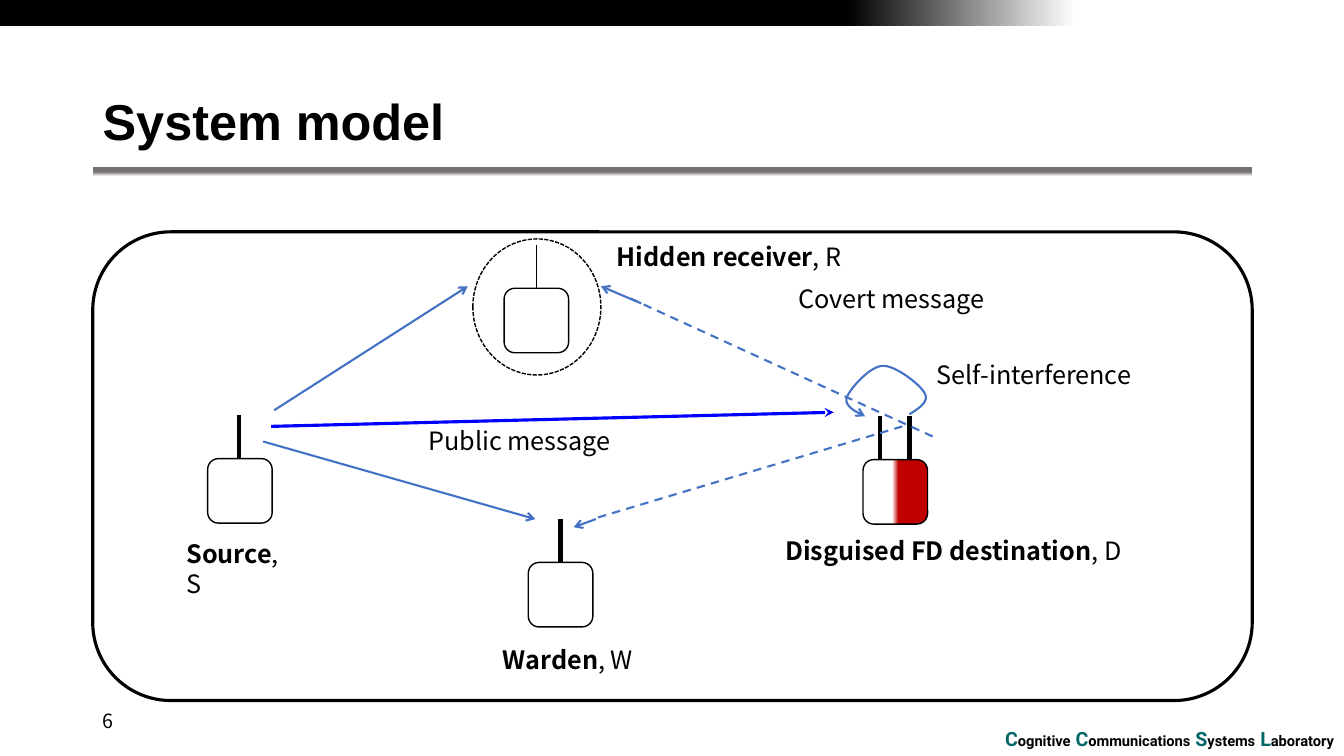
from lxml import etree
from pptx import Presentation
from pptx import util as u
from pptx.dml.color import RGBColor
from pptx.enum import dml, shapes, text
from pptx.oxml.ns import qn

COLORS = {
    "black": "000000", "white": "FFFFFF", "teal": "006666", "gray": "767171",
    "red": "C00000", "link": "4472C4", "public": "0000FF",
}
BODY_FONT = "Noto Sans CJK KR"
DEVICE_SIDE = 0.64
ANTENNA_LENGTH = 0.43
CURVE_STEPS = 16

# name order: left, top, antenna offsets, antenna weight
DEVICES = [
    (7.64, 2.26, (0.17, 0.46), 3),
    (1.14, 2.25, (0.31,), 3),
    (4.32, 3.28, (0.32,), 3),
    (4.08, 0.56, (0.32,), 1),
]
LINKS = [
    ((1.8, 1.77), (3.72, 0.54), "link", 1.5, "arrow", False),
    ((1.77, 1.93), (7.35, 1.79), "public", 2.25, "stealth", False),
    ((1.69, 2.08), (4.39, 2.85), "link", 1.5, "arrow", False),
    ((8.03, 1.93), (4.99, 2.84), "link", 1.5, None, True),
    ((4.99, 2.85), (4.77, 2.93), "link", 1.5, "arrow", False),
    ((8.33, 2.03), (5.33, 0.66), "link", 1.5, None, True),
    ((5.44, 0.71), (5.04, 0.54), "link", 1.5, "arrow", False),
]
LOOP_START = (8.1, 1.81)
LOOP_CURVES = [
    ((8.2, 1.75), (8.3, 1.68), (8.25, 1.6)),
    ((8.21, 1.52), (7.96, 1.32), (7.83, 1.33)),
    ((7.7, 1.34), (7.51, 1.56), (7.48, 1.64)),
    ((7.45, 1.72), (7.55, 1.78), (7.66, 1.83)),
]
LABELS = [
    (0.83, 2.99, 1.31, "Source", ", S"),
    (3.97, 4.04, 1.54, "Warden", ", W"),
    (5.1, 0.04, 2.63, "Hidden receiver", ", R"),
    (6.9, 0.46, 2.19, "", "Covert message"),
    (8.27, 1.22, 2.37, "", "Self-interference"),
    (6.77, 2.96, 3.71, "Disguised FD destination", ", D"),
    (3.23, 1.87, 2.13, "", "Public message"),
]


def rgb(name):
    return RGBColor.from_string(COLORS[name])


def add_block(slide, kind, box, fill=None, line=None, weight=1):
    block = slide.shapes.add_shape(kind, *map(u.Inches, box))
    block.shadow.inherit = False
    if fill:
        block.fill.solid()
        block.fill.fore_color.rgb = rgb(fill)
    else:
        block.fill.background()
    if line:
        block.line.color.rgb = rgb(line)
        block.line.width = u.Pt(weight)
    else:
        block.line.fill.background()
    return block


def set_gradient(block, angle, stops):
    block.fill.gradient()
    block.fill.gradient_angle = angle
    for stop, (position, color) in zip(block.fill.gradient_stops, stops):
        stop.position = position
        stop.color.rgb = rgb(color)


def add_head(stroke, head):
    ln = stroke.element.spPr.find(qn("a:ln"))
    etree.SubElement(ln, qn("a:tailEnd"), type=head)


def add_line(slide, start, end, color, weight, head=None, dashed=False):
    ends = map(u.Inches, (*start, *end))
    line = slide.shapes.add_connector(shapes.MSO_CONNECTOR.STRAIGHT, *ends)
    line.line.color.rgb = rgb(color)
    line.line.width = u.Pt(weight)
    if dashed:
        line.line.dash_style = dml.MSO_LINE.DASH
    if head:
        add_head(line, head)
    etree.SubElement(line.element.spPr, qn("a:effectLst"))


def add_run(paragraph, words, size, font=BODY_FONT, color="black", bold=False):
    run = paragraph.add_run()
    run.text = words
    run.font.size = u.Pt(size)
    run.font.name = font
    run.font.bold = bold
    run.font.color.rgb = rgb(color)


def add_text(slide, box, anchor=text.MSO_ANCHOR.TOP):
    frame = slide.shapes.add_textbox(*map(u.Inches, box)).text_frame
    frame.word_wrap = True
    frame.vertical_anchor = anchor
    return frame.paragraphs[0]


def top_band(slide, box):
    band = add_block(slide, shapes.MSO_SHAPE.RECTANGLE, box)
    set_gradient(band, 0, [(0.63, "black"), (0.8, "white")])


def lab_name(slide, box):
    plate = add_block(slide, shapes.MSO_SHAPE.RECTANGLE, box, "white")
    plate.text_frame.word_wrap = True
    plate.text_frame.vertical_anchor = text.MSO_ANCHOR.TOP
    paragraph = plate.text_frame.paragraphs[0]
    paragraph.alignment = text.PP_ALIGN.RIGHT
    words = "Cognitive Communications Systems Laboratory".split()
    for index, word in enumerate(words):
        if index:
            add_run(paragraph, " ", 14, "Roboto", bold=True)
        add_run(paragraph, word[0], 14, "Roboto", "teal", True)
        add_run(paragraph, word[1:], 10.5, "Roboto", bold=True)


def heading(slide, box):
    left, top, width, height = box
    paragraph = add_text(slide, box, text.MSO_ANCHOR.MIDDLE)
    paragraph.line_spacing = 0.9
    add_run(paragraph, "System model", 36, "Arial", bold=True)
    rule = add_block(slide, shapes.MSO_SHAPE.RECTANGLE,
                     (left, top + height + 0.05, width, 0.09))
    set_gradient(rule, 270, [(0.51, "gray"), (1, "white")])


def page_number(slide, box):
    add_run(add_text(slide, box, text.MSO_ANCHOR.MIDDLE), "6", 14)


def device(slide, left, top, antennas, weight):
    body = add_block(slide, shapes.MSO_SHAPE.ROUNDED_RECTANGLE,
                     (left, top, DEVICE_SIDE, DEVICE_SIDE), "white", "black")
    for offset in antennas:
        x = left + offset
        add_line(slide, (x, top - ANTENNA_LENGTH), (x, top), "black", weight)
    return body


def interference_loop(slide, left, top):
    points = []
    start = LOOP_START
    for first, second, end in LOOP_CURVES:
        for step in range(1, CURVE_STEPS + 1):
            t = step / CURVE_STEPS
            s = 1 - t
            points.append(tuple(
                s**3 * a + 3 * s * s * t * b + 3 * s * t * t * c + t**3 * d
                for a, b, c, d in zip(start, first, second, end)))
        start = end

    def place(point):
        return u.Inches(left + point[0]), u.Inches(top + point[1])

    builder = slide.shapes.build_freeform(*place(LOOP_START))
    builder.add_line_segments([place(point) for point in points], close=False)
    loop = builder.convert_to_shape()
    loop.shadow.inherit = False
    loop.fill.background()
    loop.line.color.rgb = rgb("link")
    loop.line.width = u.Pt(1.5)
    add_head(loop, "arrow")


def system_diagram(slide, box):
    left, top = box[:2]
    add_block(slide, shapes.MSO_SHAPE.ROUNDED_RECTANGLE, box, None, "black", 2.25)
    hideout = add_block(slide, shapes.MSO_SHAPE.FLOWCHART_CONNECTOR,
                        (left + 3.77, top + 0.07, 1.27, 1.35), "white", "black")
    hideout.line.dash_style = dml.MSO_LINE.SQUARE_DOT
    bodies = [device(slide, left + x, top + y, antennas, weight)
              for x, y, antennas, weight in DEVICES]
    set_gradient(bodies[0], 180, [(0.45, "red"), (0.55, "white")])
    for (x1, y1), (x2, y2), *style in LINKS:
        add_line(slide, (left + x1, top + y1), (left + x2, top + y2), *style)
    interference_loop(slide, left, top)
    for x, y, width, strong, plain in LABELS:
        paragraph = add_text(slide, (left + x, top + y, width, 0.4))
        if strong:
            add_run(paragraph, strong, 18, bold=True)
        add_run(paragraph, plain, 18)


def main():
    deck = Presentation()
    deck.slide_width, deck.slide_height = u.Inches(13.33), u.Inches(7.5)
    slide = deck.slides.add_slide(deck.slide_layouts[6])
    top_band(slide, (0, 0, 13.33, 0.26))
    lab_name(slide, (9.3, 7.16, 4.03, 0.34))
    heading(slide, (0.92, 0.86, 11.5, 0.75))
    page_number(slide, (0.92, 6.95, 1.46, 0.4))
    system_diagram(slide, (0.92, 2.3, 11.5, 4.65))
    deck.save("out.pptx")


if __name__ == "__main__":
    main()
